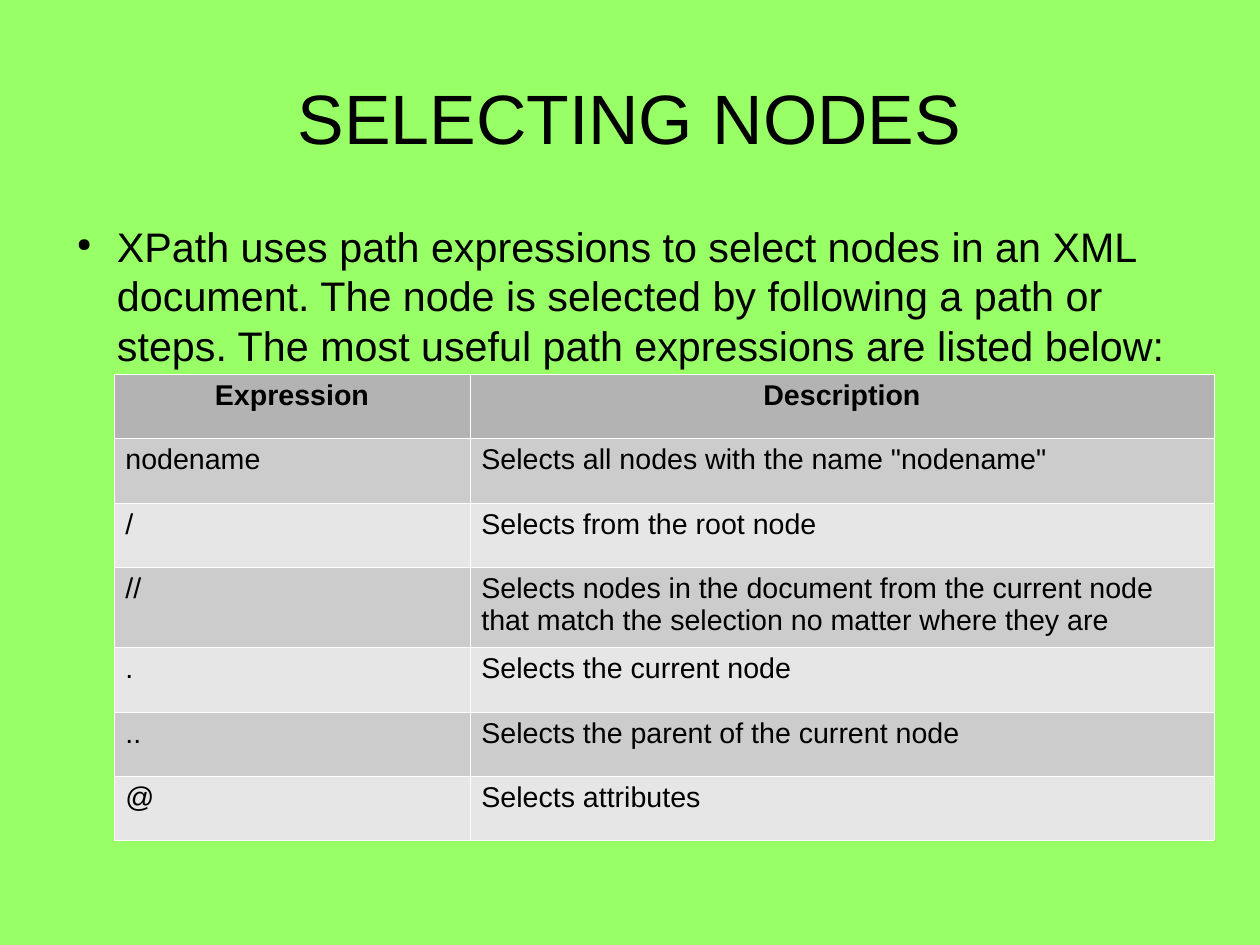
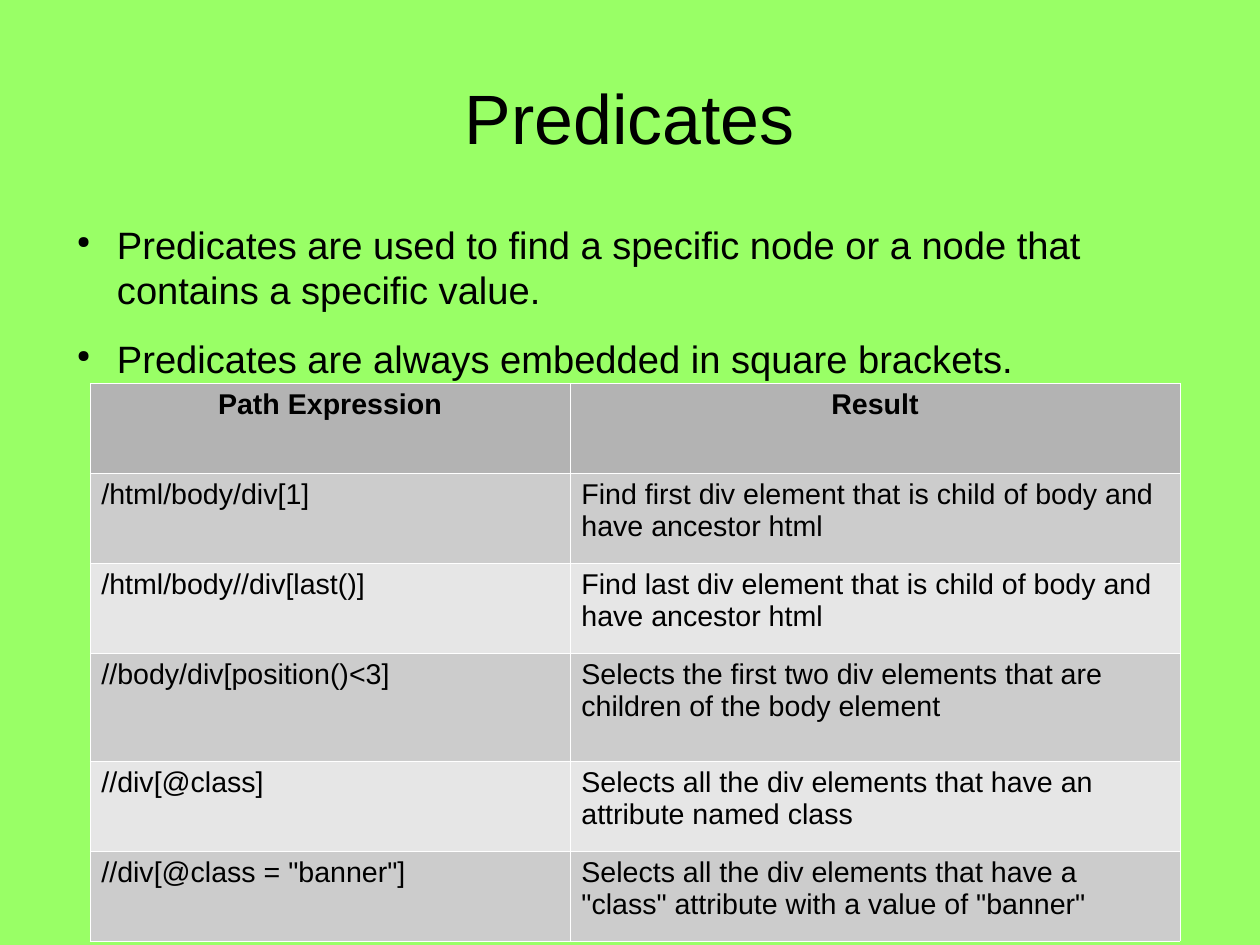
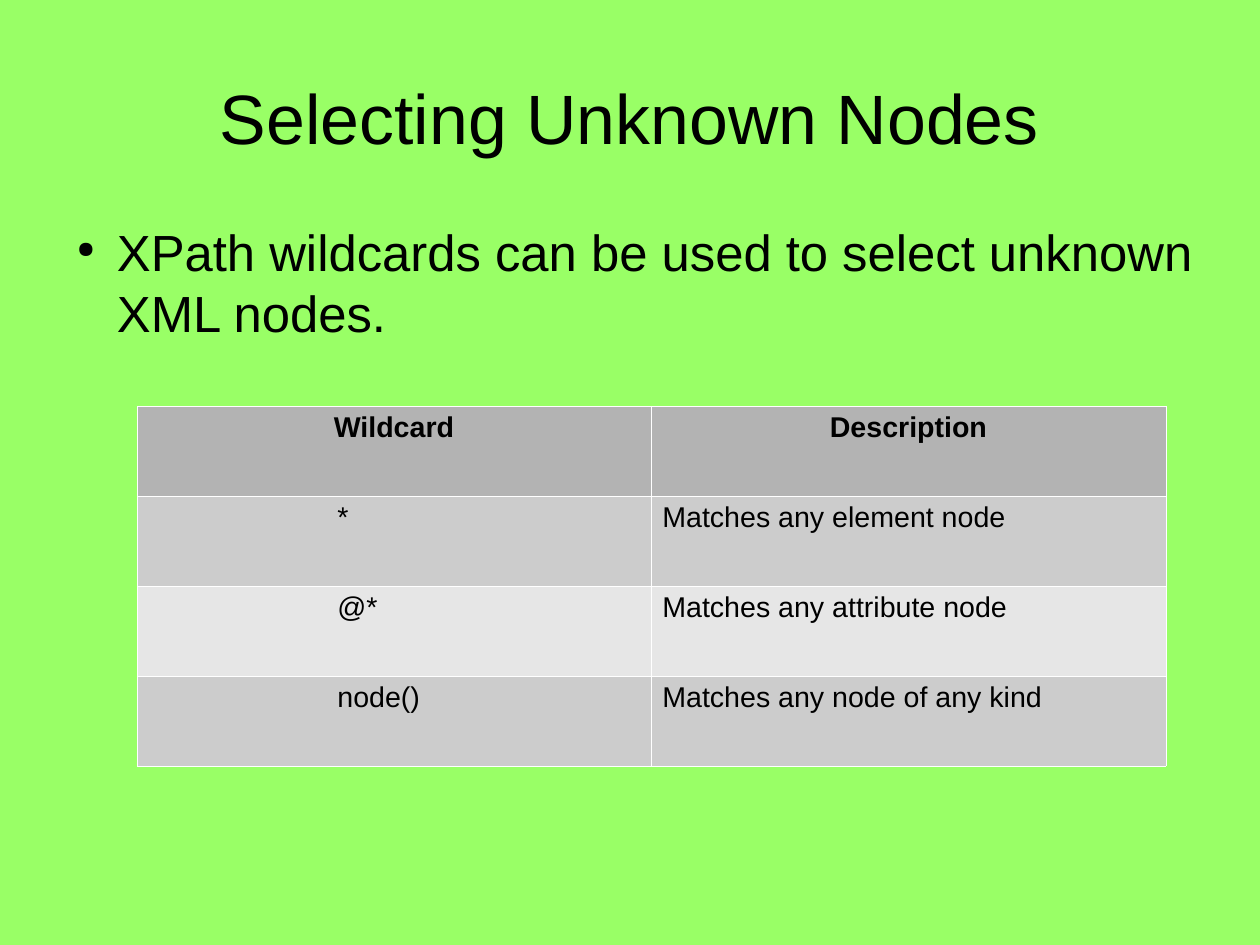
from dataclasses import dataclass
from itertools import cycle

from lxml import etree
from pptx import Presentation
from pptx import util as u
from pptx.dml.color import RGBColor
from pptx.enum import text as t
from pptx.oxml.ns import qn

EMU_PER_PIXEL = 8000


def px(length: int) -> u.Emu:
    return u.Emu(length * EMU_PER_PIXEL)


# Shared look
@dataclass(frozen=True)
class Theme:
    font: str = "Arial"
    ink: str = "000000"
    background: str = "99FF66"
    header: str = "B3B3B3"
    bands: tuple[str, str] = ("CCCCCC", "E6E6E6")
    border: str = "FFFFFF"
    border_width: float = 0.06
    title_size: int = 44
    cell_size: int = 18
    bullet_gap: float = 14.2
    bullet_percent: int = 45


@dataclass(frozen=True)
class Box:
    left: int
    top: int
    width: int
    height: int


@dataclass(frozen=True)
class Grid:
    left: int
    top: int
    columns: tuple[int, int]
    row_heights: tuple[int, ...]
    rows: tuple[tuple[str, str], ...]
    first_indent: int = 0


@dataclass(frozen=True)
class Topic:
    title: str
    points: tuple[str, ...]
    point_size: int
    grid: Grid


THEME = Theme()
PAGE = Box(0, 0, 1260, 945)
TITLE = Box(63, 38, 1134, 158)
POINTS = Box(63, 221, 1134, 548)
POINT_INDENT, POINT_HANG = 54, -40
CELL_SIDE, CELL_TOP = u.Inches(0.1), u.Inches(0.05)

# Content
TOPICS = (
    Topic(
        "SELECTING NODES",
        ("XPath uses path expressions to select nodes in an XML document. "
         "The node is selected by following a path or steps. "
         "The most useful path expressions are listed below:",),
        26,
        Grid(114, 374, (356, 744), (64, 65, 64, 75, 65, 64, 64), (
            ("Expression", "Description"),
            ("nodename", 'Selects all nodes with the name "nodename"'),
            ("/", "Selects from the root node"),
            ("//", "Selects nodes in the document from the current node "
                   "that match the selection no matter where they are"),
            (".", "Selects the current node"),
            ("..", "Selects the parent of the current node"),
            ("@", "Selects attributes"),
        )),
    ),
    Topic(
        "Predicates",
        ("Predicates are used to find a specific node or a node that "
         "contains a specific value.",
         "Predicates are always embedded in square brackets."),
        24,
        Grid(90, 383, (480, 610), (90, 90, 90, 108, 90, 90), (
            ("Path Expression", "Result"),
            ("/html/body/div[1]",
             "Find first div element that is child of body and have ancestor html"),
            ("/html/body//div[last()]",
             "Find last div element that is child of body and have ancestor html"),
            ("//body/div[position()<3]",
             "Selects the first two div elements that are children of the body element"),
            ("//div[@class]",
             "Selects all the div elements that have an attribute named class"),
            ('//div[@class = "banner"]',
             'Selects all the div elements that have a "class" attribute '
             'with a value of "banner"'),
        )),
    ),
    Topic(
        "Selecting Unknown Nodes",
        ("XPath wildcards can be used to select unknown XML nodes.",),
        32,
        Grid(137, 406, (514, 515), (90,) * 4, (
            ("Wildcard", "Description"),
            ("*", "Matches any element node"),
            ("@*", "Matches any attribute node"),
            ("node()", "Matches any node of any kind"),
        ), first_indent=189),
    ),
)


# Text
def write(paragraph, text: str, *, size: int, bold: bool = False,
          align=t.PP_ALIGN.LEFT, indent: int = 0, bullet: bool = False) -> None:
    paragraph.alignment = align
    run = paragraph.add_run()
    run.text = text
    run.font.name = THEME.font
    run.font.size = u.Pt(size)
    run.font.bold = bold
    run.font.color.rgb = RGBColor.from_string(THEME.ink)
    if indent:
        paragraph._p.get_or_add_pPr().set("marL", str(px(indent)))
    if bullet:
        paragraph.space_before = u.Pt(THEME.bullet_gap)
        add_bullet(paragraph)


def add_bullet(paragraph) -> None:
    properties = paragraph._p.get_or_add_pPr()
    properties.set("indent", str(px(POINT_HANG)))
    color = etree.SubElement(properties, qn("a:buClr"))
    etree.SubElement(color, qn("a:srgbClr"), val=THEME.ink)
    etree.SubElement(properties, qn("a:buSzPct"), val=str(THEME.bullet_percent * 1000))
    etree.SubElement(properties, qn("a:buChar"), char="●")


def add_frame(slide, box: Box, anchor):
    frame = slide.shapes.add_textbox(
        px(box.left), px(box.top), px(box.width), px(box.height)).text_frame
    frame.word_wrap = True
    frame.vertical_anchor = anchor
    frame.margin_left = frame.margin_right = frame.margin_top = frame.margin_bottom = 0
    return frame


# Table
def style_cell(cell, fill: str) -> None:
    cell.margin_left = cell.margin_right = CELL_SIDE
    cell.margin_top = cell.margin_bottom = CELL_TOP
    cell.fill.solid()
    cell.fill.fore_color.rgb = RGBColor.from_string(fill)
    properties = cell._tc.get_or_add_tcPr()
    for order, side in enumerate(("lnL", "lnR", "lnT", "lnB")):
        line = etree.Element(qn(f"a:{side}"), w=str(u.Pt(THEME.border_width)))
        solid = etree.SubElement(line, qn("a:solidFill"))
        etree.SubElement(solid, qn("a:srgbClr"), val=THEME.border)
        properties.insert(order, line)


def add_grid(slide, grid: Grid) -> None:
    table = slide.shapes.add_table(
        len(grid.rows), len(grid.columns), px(grid.left), px(grid.top),
        px(sum(grid.columns)), px(sum(grid.row_heights))).table
    for column, width in zip(table.columns, grid.columns):
        column.width = px(width)
    bands = cycle(THEME.bands)
    for row_number, (row, height, texts) in enumerate(
            zip(table.rows, grid.row_heights, grid.rows)):
        row.height = px(height)
        heading = row_number == 0
        fill = THEME.header if heading else next(bands)
        indents = (0 if heading else grid.first_indent, 0)
        for cell, text, indent in zip(row.cells, texts, indents):
            style_cell(cell, fill)
            write(cell.text_frame.paragraphs[0], text, size=THEME.cell_size,
                  bold=heading, indent=indent,
                  align=t.PP_ALIGN.CENTER if heading else t.PP_ALIGN.LEFT)


# Slides
def add_topic(deck, topic: Topic) -> None:
    slide = deck.slides.add_slide(deck.slide_layouts[6])
    title = add_frame(slide, TITLE, t.MSO_ANCHOR.MIDDLE)
    write(title.paragraphs[0], topic.title, size=THEME.title_size,
          align=t.PP_ALIGN.CENTER)
    points = add_frame(slide, POINTS, t.MSO_ANCHOR.TOP)
    for number, point in enumerate(topic.points):
        paragraph = points.add_paragraph() if number else points.paragraphs[0]
        write(paragraph, point, size=topic.point_size, indent=POINT_INDENT, bullet=True)
    add_grid(slide, topic.grid)


def main() -> None:
    deck = Presentation()
    deck.slide_width, deck.slide_height = px(PAGE.width), px(PAGE.height)
    background = deck.slide_master.background.fill
    background.solid()
    background.fore_color.rgb = RGBColor.from_string(THEME.background)
    for topic in TOPICS:
        add_topic(deck, topic)
    deck.save("out.pptx")


main()
